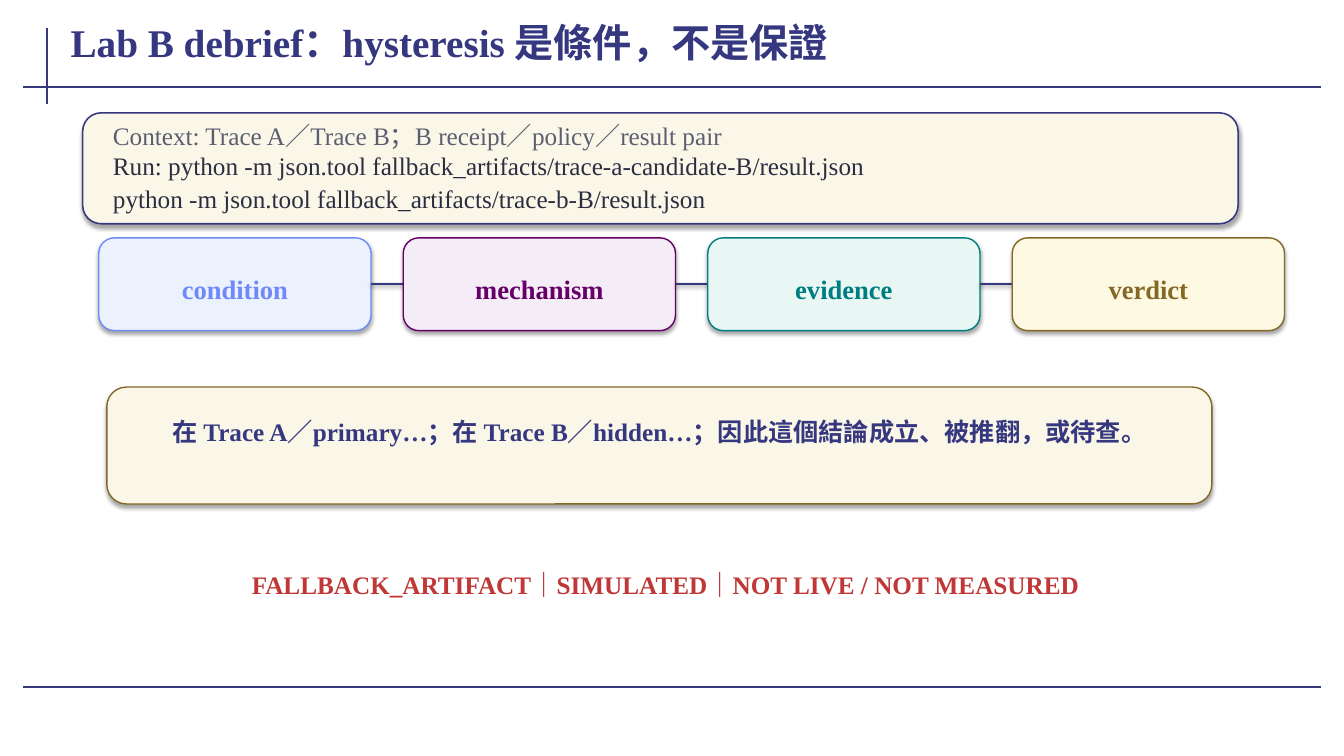
from dataclasses import dataclass

from lxml import etree
from pptx import Presentation
from pptx import util as u
from pptx.dml.color import RGBColor
from pptx.enum import shapes, text
from pptx.oxml import ns

PX = 9144  # EMU per px, 100 px to the inch
FONT = "Times New Roman"
COLORS = {
    "navy": "35377F", "cream": "FAF7E8", "gray": "5A5E6F", "ink": "2B2E41",
    "blue": "6F89F7", "pale_blue": "ECF1FE",
    "purple": "660066", "pale_purple": "F4EDF7",
    "teal": "007D80", "pale_teal": "E8F7F4",
    "gold": "846826", "pale_gold": "FDF9E2", "red": "C03737",
}
LEFT, CENTER = text.PP_ALIGN.LEFT, text.PP_ALIGN.CENTER


@dataclass
class Box:
    left: int
    top: int
    width: int
    height: int

    def emu(self) -> list[int]:
        return [v * PX for v in (self.left, self.top, self.width, self.height)]


@dataclass
class Panel:
    box: Box
    fill: str
    line: str
    weight: float = 1


@dataclass
class Label:
    box: Box
    lines: list[str]
    color: str
    size: int = 18
    bold: bool = True
    align: text.PP_ALIGN = CENTER


@dataclass
class Step:
    name: str
    fill: str
    color: str


def rgb(name: str) -> RGBColor:
    return RGBColor.from_string(COLORS[name])


def set_all(target, values: dict) -> None:
    for name, value in values.items():
        setattr(target, name, value)


def add_shadow(effects, alpha: int, distance: float) -> None:
    shadow = etree.SubElement(
        effects, ns.qn("a:outerShdw"), blurRad=str(u.Pt(3.1)),
        dist=str(u.Pt(distance)), dir="5400000", algn="ctr", rotWithShape="0")
    color = etree.SubElement(shadow, ns.qn("a:srgbClr"), val="000000")
    etree.SubElement(color, ns.qn("a:alpha"), val=str(alpha * 1000))


def add_rule(slide, x1: int, y1: int, x2: int, y2: int,
             weight: float = 1.5, shadow: bool = False) -> None:
    rule = slide.shapes.add_connector(
        shapes.MSO_CONNECTOR.STRAIGHT, *(v * PX for v in (x1, y1, x2, y2)))
    rule.line.color.rgb = rgb("navy")
    rule.line.width = u.Pt(weight)
    effects = etree.SubElement(rule._element.spPr, ns.qn("a:effectLst"))
    if shadow:
        add_shadow(effects, 38, 1.6)


def add_panel(slide, panel: Panel) -> None:
    shape = slide.shapes.add_shape(
        shapes.MSO_SHAPE.ROUNDED_RECTANGLE, *panel.box.emu())
    shape.fill.solid()
    shape.fill.fore_color.rgb = rgb(panel.fill)
    shape.line.color.rgb = rgb(panel.line)
    shape.line.width = u.Pt(panel.weight)
    shape.shadow.inherit = False
    add_shadow(shape._element.spPr.find(ns.qn("a:effectLst")), 35, 1.8)


def write(shape, label: Label, auto_size: text.MSO_AUTO_SIZE) -> None:
    frame = shape.text_frame
    frame.text = "\n".join(label.lines)
    set_all(frame, {
        "word_wrap": True, "auto_size": auto_size,
        "vertical_anchor": text.MSO_ANCHOR.TOP,
        "margin_left": 8 * PX, "margin_top": 3 * PX,
        "margin_right": 8 * PX, "margin_bottom": 2 * PX})
    for paragraph in frame.paragraphs:
        set_all(paragraph, {"alignment": label.align, "space_after": u.Pt(2)})
        font = paragraph.runs[0].font
        set_all(font, {"name": FONT, "size": u.Pt(label.size),
                       "bold": label.bold})
        font.color.rgb = rgb(label.color)


def add_label(slide, label: Label) -> None:
    shape = slide.shapes.add_textbox(*label.box.emu())
    write(shape, label, text.MSO_AUTO_SIZE.SHAPE_TO_FIT_TEXT)


def add_title(slide, label: Label) -> None:
    title = slide.shapes.title
    set_all(title, dict(zip(("left", "top", "width", "height"),
                            label.box.emu())))
    write(title, label, text.MSO_AUTO_SIZE.NONE)


def add_steps(slide, steps: list[Step]) -> None:
    left, top, width, height, gap = 98, 236, 270, 92, 32
    middle = top + height // 2
    for index, step in enumerate(steps):
        x = left + index * (width + gap)
        if index:
            add_rule(slide, x - gap, middle, x, middle, 1.6, shadow=True)
        add_panel(slide, Panel(Box(x, top, width, height),
                               step.fill, step.color))
        add_label(slide, Label(Box(x + 12, top + 32, width - 24, 24),
                               [step.name], step.color, 19))


TITLE = Label(Box(62, 15, 1249, 62), ["Lab B debrief：hysteresis 是條件，不是保證"],
              "navy", 28, align=LEFT)
CONTEXT = Label(Box(104, 116, 1098, 26),
                ["Context: Trace A／Trace B；B receipt／policy／result pair"],
                "gray", bold=False, align=LEFT)
COMMANDS = Label(
    Box(104, 146, 1098, 72),
    ["Run: python -m json.tool fallback_artifacts/trace-a-candidate-B/result.json",
     "python -m json.tool fallback_artifacts/trace-b-B/result.json"],
    "ink", bold=False, align=LEFT)
STEPS = [
    Step("condition", "pale_blue", "blue"),
    Step("mechanism", "pale_purple", "purple"),
    Step("evidence", "pale_teal", "teal"),
    Step("verdict", "pale_gold", "gold"),
]
CONCLUSION = Label(
    Box(132, 410, 1044, 68),
    ["在 Trace A／primary…；在 Trace B／hidden…；因此這個結論成立、被推翻，或待查。"],
    "navy")
STATUS = Label(Box(92, 562, 1136, 30),
               ["FALLBACK_ARTIFACT｜SIMULATED｜NOT LIVE / NOT MEASURED"], "red")


def main() -> None:
    presentation = Presentation()
    presentation.slide_width = 1333 * PX
    presentation.slide_height = 750 * PX
    slide = presentation.slides.add_slide(presentation.slide_layouts[5])

    # Frame rules and title
    add_rule(slide, 47, 28, 47, 103)
    for y in (86, 682):
        add_rule(slide, 23, y, 1310, y)
    add_title(slide, TITLE)

    # Context and commands
    add_panel(slide, Panel(Box(82, 112, 1146, 110), "cream", "navy", 1.1))
    add_label(slide, CONTEXT)
    add_label(slide, COMMANDS)

    # Chain of reasoning
    add_steps(slide, STEPS)

    # Conclusion and status
    add_panel(slide, Panel(Box(106, 384, 1096, 116), "cream", "gold"))
    add_label(slide, CONCLUSION)
    add_label(slide, STATUS)

    presentation.save("out.pptx")


if __name__ == "__main__":
    main()
